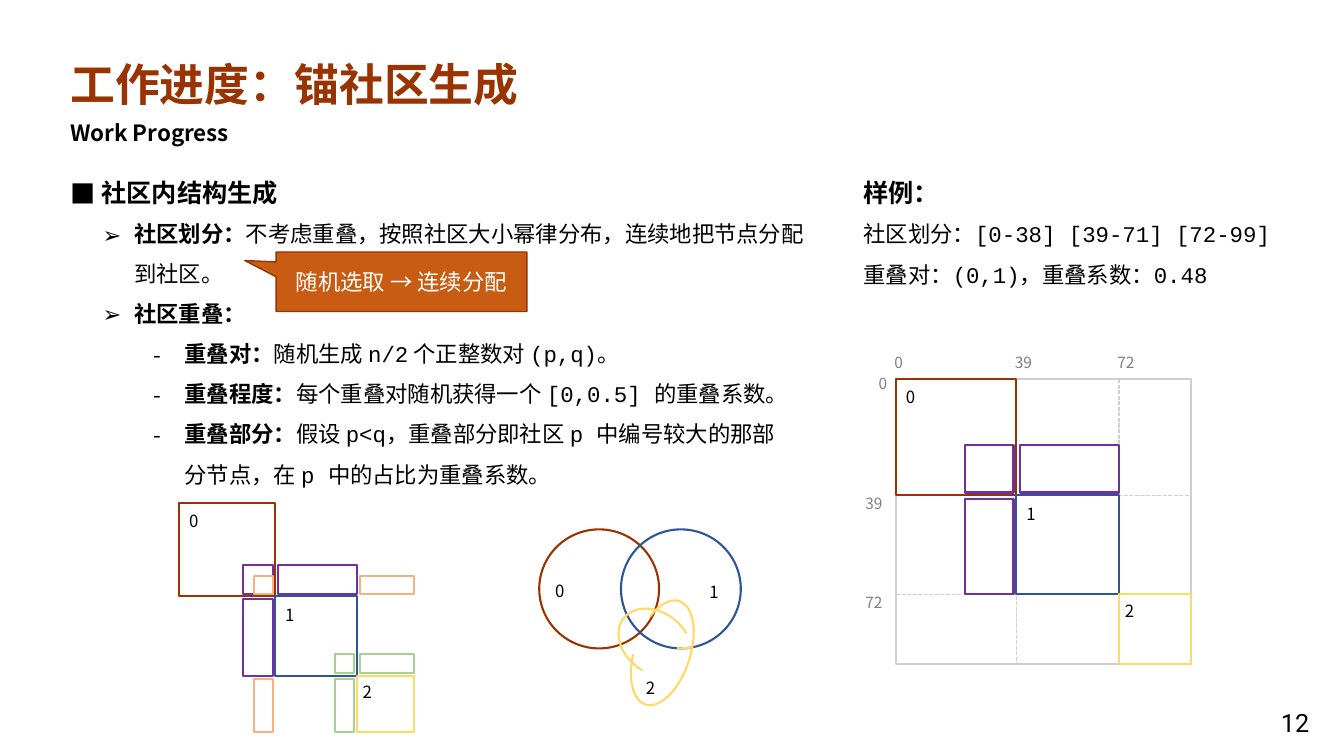
from lxml import etree
from pptx import Presentation
from pptx import util as u
from pptx.dml.color import RGBColor
from pptx.enum import dml, shapes, text
from pptx.oxml import ns

COLOURS = {
    "brown": "993300", "blue": "2F5597", "yellow": "FFD966", "purple": "7030A0",
    "peach": "F4B183", "green": "A9D18E", "grid": "D0CECE", "axis": "808080",
    "callout": "C85C12", "black": "000000", "white": "FFFFFF",
}
SANS, MONO, NUMBER = "Noto Sans CJK SC", "Courier New", "Roboto"
BOUNDARIES = (0, 0.408, 0.755, 1)
COMMUNITY_COLOURS = ("brown", "blue", "yellow")


def rgb(name):
    return RGBColor.from_string(COLOURS[name])


def add_run(paragraph, words, size, colour="black", bold=False, font=SANS):
    run = paragraph.add_run()
    run.text = words
    run.font.size = u.Pt(size)
    run.font.bold = bold
    run.font.name = font
    run.font.color.rgb = rgb(colour)
    east_asian = etree.SubElement(run._r.get_or_add_rPr(), ns.qn("a:ea"))
    east_asian.set("typeface", SANS)


def set_bullet(paragraph, character, margin):
    properties = paragraph._p.get_or_add_pPr()
    properties.set("marL", str(u.Cm(margin)))
    properties.set("indent", str(u.Cm(-0.79)))
    etree.SubElement(properties, ns.qn("a:buFont")).set("typeface", SANS)
    etree.SubElement(properties, ns.qn("a:buChar")).set("char", character)


def add_text_box(slide, box):
    frame = slide.shapes.add_textbox(*map(u.Cm, box)).text_frame
    frame.word_wrap = True
    return frame


def add_label(slide, box, words, size=12, colour="black", bold=False, font=SANS):
    paragraph = add_text_box(slide, box).paragraphs[0]
    add_run(paragraph, words, size, colour, bold, font)


def add_paragraphs(slide, box, size, paragraphs):
    frame = add_text_box(slide, box)
    for index, (bullet, margin, runs) in enumerate(paragraphs):
        paragraph = frame.add_paragraph() if index else frame.paragraphs[0]
        paragraph.line_spacing = 1.5
        if bullet:
            set_bullet(paragraph, bullet, margin)
        for words, style in runs:
            add_run(paragraph, words, size, bold=style == "bold",
                    font=MONO if style == "mono" else SANS)


def add_outline(slide, kind, box, colour):
    shape = slide.shapes.add_shape(kind, *map(u.Cm, box))
    shape.shadow.inherit = False
    shape.fill.background()
    shape.line.color.rgb = rgb(colour)
    shape.line.width = u.Pt(1.5)
    return shape


def add_dashed_line(slide, *ends):
    line = slide.shapes.add_connector(shapes.MSO_CONNECTOR.STRAIGHT, *map(u.Cm, ends))
    line.line.color.rgb = rgb("grid")
    line.line.width = u.Pt(1)
    line.line.dash_style = dml.MSO_LINE.SQUARE_DOT
    etree.SubElement(line._element.spPr, ns.qn("a:effectLst"))


def add_heading(slide, left, top):
    title = slide.shapes.title
    title.left, title.top, title.width, title.height = map(u.Cm, (left, top, 11.91, 1.63))
    frame = title.text_frame
    frame.word_wrap = False
    frame.auto_size = text.MSO_AUTO_SIZE.NONE
    frame.vertical_anchor = text.MSO_ANCHOR.TOP
    paragraph = frame.paragraphs[0]
    paragraph.alignment = text.PP_ALIGN.LEFT
    add_run(paragraph, "工作进度：锚社区生成", 32, "brown", True)
    add_label(slide, (left, top + 1.57, 8.59, 0.94), "Work Progress", 16, bold=True)


def add_method(slide, left, top):
    add_paragraphs(slide, (left, top, 6.5, 1.3), 18, [
        ("■", 0.79, [("社区内结构生成", "bold")]),
    ])
    add_paragraphs(slide, (left + 0.82, top + 1.12, 18.42, 2.18), 16, [
        ("➢", 0.79, [("社区划分：", "bold"),
                     ("不考虑重叠，按照社区大小幂律分布，连续地把节点分配到社区。", "plain")]),
    ])
    add_paragraphs(slide, (left + 0.82, top + 3.13, 17.98, 5.28), 16, [
        ("➢", 0.79, [("社区重叠：", "bold")]),
        ("-", 2.06, [("重叠对：", "bold"), ("随机生成 ", "plain"), ("n/2", "mono"),
                     (" 个正整数对 ", "plain"), ("(p,q)", "mono"), ("。", "plain")]),
        ("-", 2.06, [("重叠程度：", "bold"), ("每个重叠对随机获得一个 ", "plain"),
                     ("[0,0.5] ", "mono"), ("的重叠系数。", "plain")]),
        ("-", 2.06, [("重叠部分：", "bold"), ("假设 ", "plain"), ("p<q", "mono"),
                     ("，重叠部分即社区 ", "plain"), ("p ", "mono"),
                     ("中编号较大的那部分节点，在 ", "plain"), ("p ", "mono"),
                     ("中的占比为重叠系数。", "plain")]),
    ])


def add_callout(slide, box):
    callout = add_outline(slide, shapes.MSO_SHAPE.RECTANGULAR_CALLOUT, box, "brown")
    callout.adjustments[0], callout.adjustments[1] = -0.625, -0.356
    callout.fill.solid()
    callout.fill.fore_color.rgb = rgb("callout")
    callout.line.width = u.Pt(1)
    callout.text_frame.vertical_anchor = text.MSO_ANCHOR.MIDDLE
    paragraph = callout.text_frame.paragraphs[0]
    paragraph.alignment = text.PP_ALIGN.CENTER
    add_run(paragraph, "随机选取 → 连续分配", 16, "white")


def add_example(slide, left, top):
    add_paragraphs(slide, (left, top, 11.15, 1.27), 18, [
        (None, 0, [("样例：", "bold")]),
    ])
    add_paragraphs(slide, (left, top + 1.12, 11.15, 1.17), 16, [
        (None, 0, [("社区划分：", "plain"), ("[0-38] [39-71] [72-99]", "mono")]),
    ])
    add_paragraphs(slide, (left, top + 2.16, 9.93, 1.17), 16, [
        (None, 0, [("重叠对：", "plain"), ("(0,1)", "mono"),
                   ("，重叠系数：", "plain"), ("0.48", "mono")]),
    ])


def add_axes(slide, box):
    left, top, width, height = box
    add_outline(slide, shapes.MSO_SHAPE.RECTANGLE, box, "grid")
    for boundary, number in zip(BOUNDARIES, ("0", "39", "72")):
        x, y = left + boundary * width, top + boundary * height
        label_width = 0.58 + 0.33 * len(number)
        add_label(slide, (x - 0.29, top - 0.77, label_width, 0.91), number, 11, "axis")
        add_label(slide, (left + 0.22 - label_width, y - (0.16 if boundary else 0.25),
                          label_width, 0.91), number, 11, "axis")
        if boundary:
            add_dashed_line(slide, x, top, x, top + height)
            add_dashed_line(slide, left, y, left + width, y)


def add_matrix(slide, box, overlaps):
    left, top, width, height = box

    def add_block(columns, rows, colour):
        block = (left + columns[0] * width, top + rows[0] * height,
                 (columns[1] - columns[0]) * width, (rows[1] - rows[0]) * height)
        add_outline(slide, shapes.MSO_SHAPE.RECTANGLE, block, colour)

    for span, colour in zip(zip(BOUNDARIES, BOUNDARIES[1:]), COMMUNITY_COLOURS):
        add_block(span, span, colour)
    for first, second, start, colour in overlaps:
        shared = (start, BOUNDARIES[first + 1] - 0.01)
        other = (BOUNDARIES[second] + 0.013, BOUNDARIES[second + 1])
        for columns, rows in ((shared, other), (other, shared), (shared, shared)):
            add_block(columns, rows, colour)
    for index, boundary in enumerate(BOUNDARIES[:3]):
        nudge = 0.1 if index == 2 else 0
        add_label(slide, (left + boundary * width - nudge,
                          top + boundary * height + 0.08 - nudge / 2, 0.8, 0.8), str(index))


def add_venn(slide, left, top):
    for offset, colour in ((0, "brown"), (2.06, "blue")):
        add_outline(slide, shapes.MSO_SHAPE.OVAL, (left + offset, top, 3.02, 3), colour)
    arcs = (
        (2.16, 1.85, 1.52, 2.01, 307.4, 166.25, 36.09),
        (1.73, 2.41, 2.74, 1.4, 108.2, 143.49, 68.67),
        (2.06, 0, 3.02, 3, 0, 79.37, 93.91),
    )
    for x, y, width, height, rotation, start, end in arcs:
        arc = add_outline(slide, shapes.MSO_SHAPE.ARC,
                          (left + x, top + y, width, height), "yellow")
        arc.rotation = rotation
        arc.adjustments[0], arc.adjustments[1] = start * 0.6, end * 0.6
    for number, x, y in (("0", 0.15, 1.17), ("1", 4.04, 1.19), ("2", 2.44, 3.61)):
        add_label(slide, (left + x, top + y, 0.74, 0.76), number)


def main():
    presentation = Presentation()
    presentation.slide_width, presentation.slide_height = u.Cm(33.87), u.Cm(19.05)
    slide = presentation.slides.add_slide(presentation.slide_layouts[5])
    example_box = (22.58, 9.55, 7.44, 7.19)
    add_axes(slide, example_box)
    add_heading(slide, 1.52, 1.3)
    add_label(slide, (32.03, 17.7, 1.37, 1.02), "12", 18, font=NUMBER)
    add_method(slide, 1.52, 3.96)
    add_matrix(slide, (4.52, 12.67, 5.92, 5.77), [
        (0, 1, 0.272, "purple"), (0, 2, 0.318, "peach"), (1, 2, 0.661, "green"),
    ])
    add_venn(slide, 13.59, 13.34)
    add_callout(slide, (6.96, 6.35, 6.32, 1.5))
    add_example(slide, 21.51, 3.96)
    add_matrix(slide, example_box, [(0, 1, 0.233, "purple")])
    presentation.save("out.pptx")


if __name__ == "__main__":
    main()
